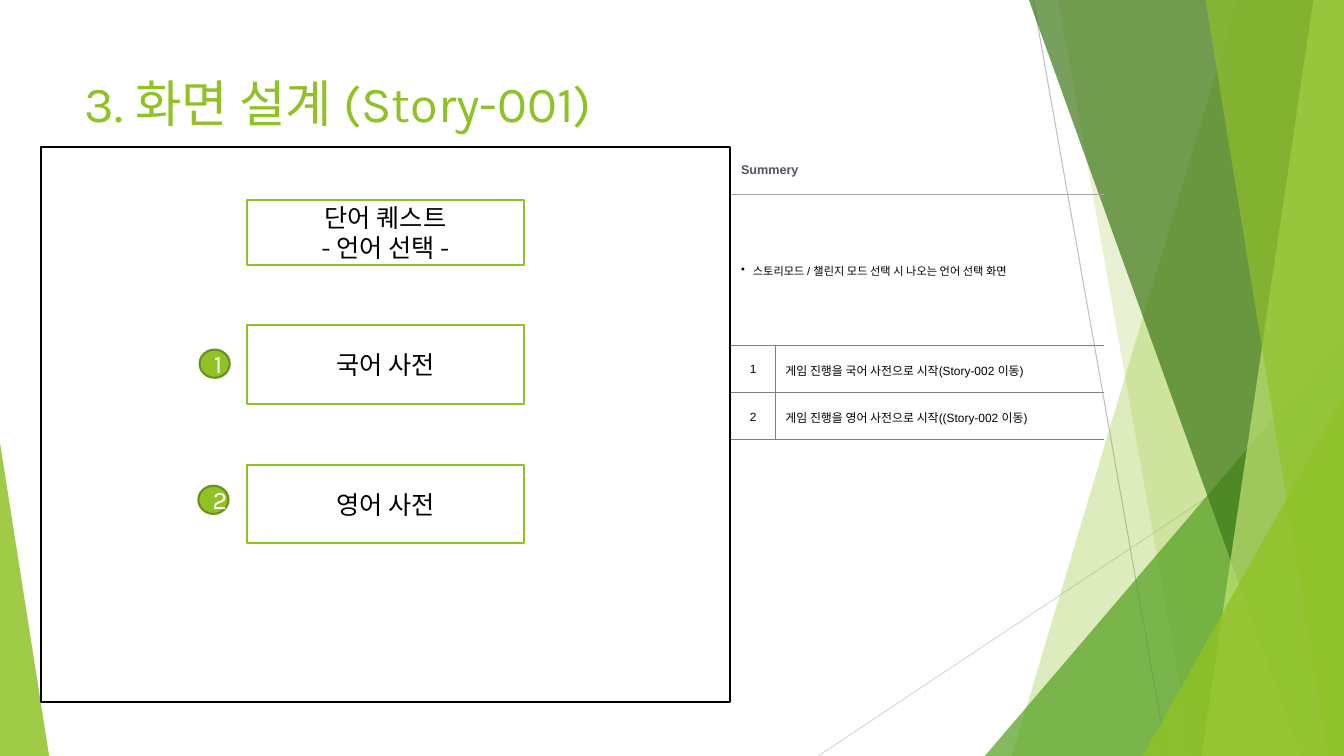
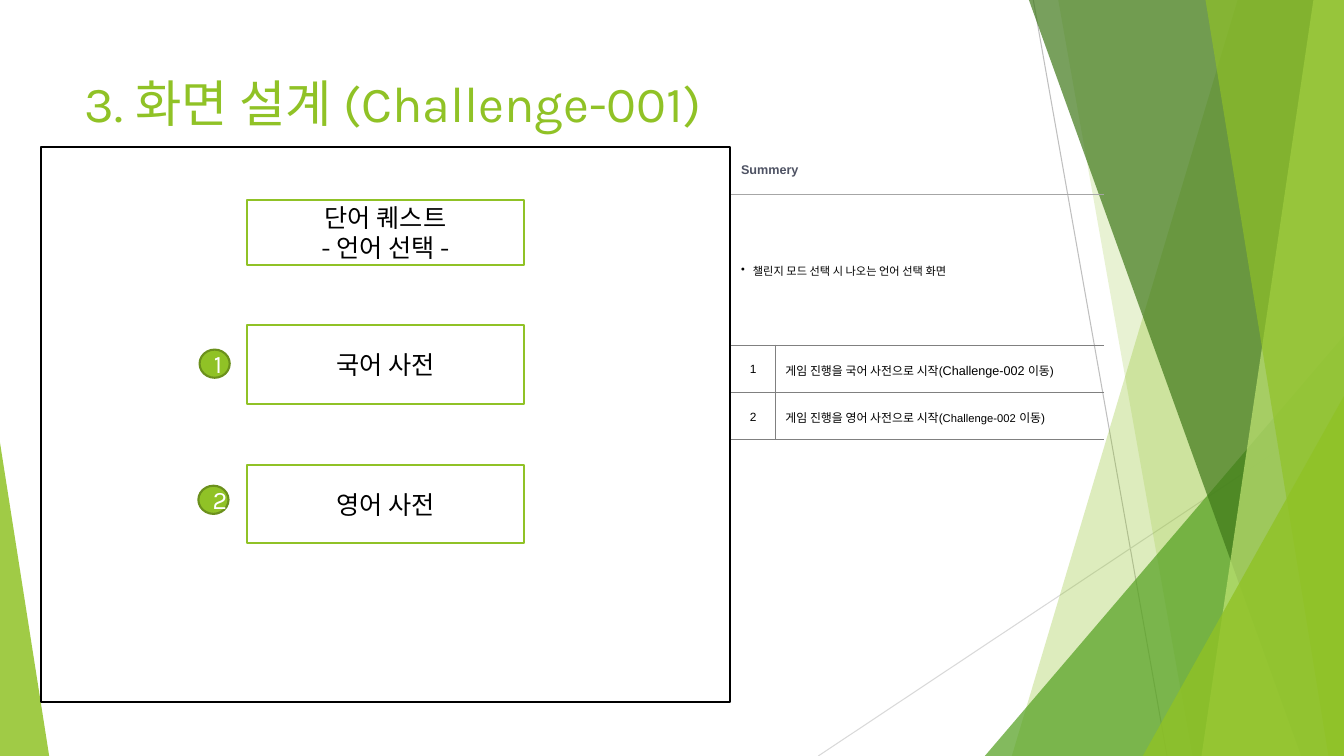
from dataclasses import dataclass

from lxml.etree import SubElement
from pptx import Presentation
from pptx.dml.color import RGBColor
from pptx.enum.shapes import MSO_CONNECTOR, MSO_SHAPE
from pptx.enum.text import MSO_ANCHOR, MSO_AUTO_SIZE, PP_ALIGN
from pptx.oxml.ns import qn
from pptx.slide import Slide, SlideLayout
from pptx.table import _Cell as Cell
from pptx.text.text import _Paragraph as Paragraph
from pptx.util import Cm, Pt


@dataclass(frozen=True)
class Theme:
    green: str = "90C226"
    leaf: str = "54A021"
    forest: str = "3F7819"
    lime: str = "C0E474"
    badge_edge: str = "6B901C"
    black: str = "000000"
    white: str = "FFFFFF"
    heading: str = "4E5263"
    rule: str = "808080"
    light_rule: str = "A6A6A6"
    display_font: str = "Karla"
    table_font: str = "Arial"
    title_size: float = 36
    box_size: float = 18
    heading_size: float = 9
    note_size: float = 8
    cell_size: float = 8.5


THEME = Theme()
WIDTH, HEIGHT = 33.87, 19.05
NO_STYLE_TABLE = "{2D5ABB26-0587-4C30-8999-92F81FD0307C}"


@dataclass(frozen=True)
class Shard:
    """Band from a slanted left edge to the right edge of the slide."""
    top_x: float
    bottom_x: float
    color: str
    opacity: int


@dataclass(frozen=True)
class Corner:
    """Triangle standing on the bottom edge of the slide."""
    left: float
    width: float
    height: float
    apex: float
    color: str
    opacity: int


@dataclass(frozen=True)
class Ray:
    start: tuple[float, float]
    end: tuple[float, float]
    color: str


@dataclass(frozen=True)
class Block:
    """Outlined shape with centred text."""
    left: float
    top: float
    width: float
    height: float
    lines: tuple[str, ...] = ()
    kind: MSO_SHAPE = MSO_SHAPE.RECTANGLE
    fill: str = THEME.white
    outline: str = THEME.green
    color: str = THEME.black


@dataclass(frozen=True)
class TextRun:
    text: str
    size: float = THEME.cell_size


@dataclass(frozen=True)
class Screen:
    title: str
    summary: str
    steps: tuple[tuple[TextRun, ...], ...]


BACKDROP = (
    Ray((26.04, 0), (29.41, HEIGHT), "BFBFBF"),
    Ray((WIDTH, 10.24), (20.62, HEIGHT), "D9D9D9"),
    Shard(31.19, 25.5, THEME.green, 30),
    Shard(26.67, 30.05, THEME.green, 20),
    Corner(24.82, 9.05, 10.59, 1, THEME.leaf, 72),
    Shard(25.93, 32.79, THEME.forest, 70),
    Shard(33.1, 30.28, THEME.lime, 70),
    Shard(30.38, 33.48, THEME.green, 65),
    Corner(28.8, 5.07, 9.07, 1, THEME.green, 80),
    Corner(0, 1.24, 7.9, 0, THEME.green, 85),
)


def menu_box(top: float, height: float, *lines: str) -> Block:
    return Block(6.22, top, 6.99, height, lines)


def badge(left: float, top: float, number: str) -> Block:
    return Block(left, top, 0.76, 0.71, (number,), MSO_SHAPE.OVAL,
                 THEME.green, THEME.badge_edge, THEME.white)


FRAME = Block(1.04, 3.71, 17.35, 13.97, outline=THEME.black)
MENU = (
    menu_box(5.05, 1.63, "단어 퀘스트", "- 언어 선택 -"),
    menu_box(8.2, 1.98, "국어 사전"),
    menu_box(11.71, 1.98, "영어 사전"),
    badge(5.03, 8.81, "1"),
    badge(5, 12.24, "2"),
)
COLUMNS = (1.12, 8.28)
ROWS = (1.17, 3.81, 1.19, 1.19)

SCREENS = (
    Screen("3. 화면 설계 (Story-001)",
           "스토리모드 / 챌린지 모드 선택 시 나오는 언어 선택 화면",
           ((TextRun("게임 진행을 국어 사전으로 시작(Story-002 이동)"),),
            (TextRun("게임 진행을 영어 사전으로 시작((Story-002 이동)"),))),
    Screen("3. 화면 설계 (Challenge-001)",
           "챌린지 모드 선택 시 나오는 언어 선택 화면",
           ((TextRun("게임 진행을 국어 사전으로 시작("),
             TextRun("Challenge-002", 9), TextRun(" 이동)")),
            (TextRun("게임 진행을 영어 사전으로 시작("),
             TextRun("Challenge-002", 8), TextRun(" 이동)")))),
)


def rgb(color: str) -> RGBColor:
    return RGBColor.from_string(color)


def set_font(paragraph: Paragraph, name: str, size: float, color: str,
             bold: bool = False) -> None:
    font = paragraph.font
    font.name, font.size, font.bold = name, Pt(size), bold
    font.color.rgb = rgb(color)


# Shared backdrop
def draw_ray(slide: Slide, ray: Ray):
    x1, y1, x2, y2 = (Cm(value) for value in ray.start + ray.end)
    connector = slide.shapes.add_connector(MSO_CONNECTOR.STRAIGHT, x1, y1, x2, y2)
    connector.line.color.rgb = rgb(ray.color)
    connector.line.width = Pt(0.75)
    SubElement(connector.element.spPr, qn("a:effectLst"))
    return connector


def draw_pane(slide: Slide, pane: Shard | Corner):
    if isinstance(pane, Shard):
        builder = slide.shapes.build_freeform(Cm(pane.top_x), 0)
        corners = ((WIDTH, 0), (WIDTH, HEIGHT), (pane.bottom_x, HEIGHT))
        builder.add_line_segments([(Cm(x), Cm(y)) for x, y in corners])
        shape = builder.convert_to_shape()
    else:
        shape = slide.shapes.add_shape(
            MSO_SHAPE.ISOSCELES_TRIANGLE, Cm(pane.left), Cm(HEIGHT - pane.height),
            Cm(pane.width), Cm(pane.height))
        shape.adjustments[0] = pane.apex
    shape.shadow.inherit = False
    shape.line.fill.background()
    shape.fill.solid()
    shape.fill.fore_color.rgb = rgb(pane.color)
    color = shape.element.spPr.find(qn("a:solidFill")).find(qn("a:srgbClr"))
    SubElement(color, qn("a:alpha"), val=str(pane.opacity * 1000))
    return shape


def prepare_layout(layout: SlideLayout) -> None:
    title, *others = layout.placeholders
    title.left, title.top, title.width, title.height = (
        Cm(value) for value in (1.88, 1.7, 23.88, 3.66))
    for placeholder in others:
        placeholder.element.getparent().remove(placeholder.element)


def add_backdrop(slide: Slide) -> None:
    """Draw the backdrop, then move it to the layout for every slide to share."""
    parts = [draw_ray(slide, part) if isinstance(part, Ray) else draw_pane(slide, part)
             for part in BACKDROP]
    for part in parts:
        slide.slide_layout.shapes.element.append(part.element)


# Screen sketch
def draw_block(slide: Slide, block: Block) -> None:
    shape = slide.shapes.add_shape(block.kind, Cm(block.left), Cm(block.top),
                                   Cm(block.width), Cm(block.height))
    shape.shadow.inherit = False
    shape.fill.solid()
    shape.fill.fore_color.rgb = rgb(block.fill)
    shape.line.color.rgb = rgb(block.outline)
    shape.line.width = Pt(1.5)
    if not block.lines:
        return
    shape.text_frame.text = "\n".join(block.lines)
    for paragraph in shape.text_frame.paragraphs:
        paragraph.alignment = PP_ALIGN.CENTER
        set_font(paragraph, THEME.display_font, THEME.box_size, block.color)


# Description table
def set_borders(cell: Cell, **colors: str) -> None:
    properties = cell._tc.get_or_add_tcPr()
    for side in ("L", "R", "T", "B"):
        line = SubElement(properties, qn(f"a:ln{side}"), w=str(Pt(0.25)))
        if side in colors:
            fill = SubElement(line, qn("a:solidFill"))
            SubElement(fill, qn("a:srgbClr"), val=colors[side])
        else:
            SubElement(line, qn("a:noFill"))


def fill_cell(cell: Cell, runs: tuple[TextRun, ...], align: PP_ALIGN,
              color: str = THEME.black, bold: bool = False,
              spacing: float = 1.2) -> Paragraph:
    cell.vertical_anchor = MSO_ANCHOR.MIDDLE
    paragraph = cell.text_frame.paragraphs[0]
    paragraph.alignment, paragraph.line_spacing = align, spacing
    set_font(paragraph, THEME.table_font, runs[0].size, color, bold)
    for item in runs:
        run = paragraph.add_run()
        run.text = item.text
        if item.size != runs[0].size:
            run.font.size = Pt(item.size)
    return paragraph


def add_bullet(paragraph: Paragraph) -> None:
    properties = paragraph._p.get_or_add_pPr()
    properties.set("marL", str(Cm(0.3)))
    properties.set("indent", str(-Cm(0.3)))
    bullet = properties.makeelement(qn("a:buChar"), {"char": "•"})
    properties.find(qn("a:defRPr")).addprevious(bullet)


def add_description(slide: Slide, screen: Screen) -> None:
    frame = slide.shapes.add_table(len(ROWS), len(COLUMNS), Cm(18.42), Cm(3.71),
                                   Cm(sum(COLUMNS)), Cm(sum(ROWS)))
    table = frame.table
    table.first_row = table.horz_banding = False
    next(frame.element.iter(qn("a:tableStyleId"))).text = NO_STYLE_TABLE
    for column, width in zip(table.columns, COLUMNS):
        column.width = Cm(width)
    for row, height in zip(table.rows, ROWS):
        row.height = Cm(height)

    for index in range(2):
        table.cell(index, 0).merge(table.cell(index, 1))
    fill_cell(table.cell(0, 0), (TextRun("Summery", THEME.heading_size),),
              PP_ALIGN.LEFT, THEME.heading, bold=True, spacing=1.0)
    add_bullet(fill_cell(table.cell(1, 0), (TextRun(screen.summary, THEME.note_size),),
                         PP_ALIGN.JUSTIFY))
    for number, runs in enumerate(screen.steps, start=1):
        fill_cell(table.cell(number + 1, 0), (TextRun(str(number)),), PP_ALIGN.CENTER)
        fill_cell(table.cell(number + 1, 1), runs, PP_ALIGN.JUSTIFY)

    rules = ({"B": THEME.light_rule}, {"T": THEME.light_rule, "B": THEME.rule},
             *[{"T": THEME.rule, "B": THEME.rule}] * len(screen.steps))
    for row_index, sides in enumerate(rules):
        divider = {"R": THEME.rule} if row_index > 1 else {}
        set_borders(table.cell(row_index, 0), **sides, **divider)
        divider = {"L": THEME.rule} if row_index > 1 else {}
        set_borders(table.cell(row_index, 1), **sides, **divider)
    for cell in table.iter_cells():
        cell.fill.background()


def add_title(slide: Slide, text: str) -> None:
    text_frame = slide.shapes.title.text_frame
    text_frame.text = text
    text_frame.vertical_anchor = MSO_ANCHOR.TOP
    text_frame.auto_size = MSO_AUTO_SIZE.NONE
    paragraph = text_frame.paragraphs[0]
    paragraph.alignment = PP_ALIGN.LEFT
    set_font(paragraph, THEME.display_font, THEME.title_size, THEME.green)


def main() -> None:
    presentation = Presentation()
    presentation.slide_width, presentation.slide_height = Cm(WIDTH), Cm(HEIGHT)
    layout = presentation.slide_layouts.get_by_name("Title Only")
    prepare_layout(layout)
    for index, screen in enumerate(SCREENS):
        slide = presentation.slides.add_slide(layout)
        if index == 0:
            add_backdrop(slide)
        add_title(slide, screen.title)
        draw_block(slide, FRAME)
        add_description(slide, screen)
        for block in MENU:
            draw_block(slide, block)
    presentation.save("out.pptx")


if __name__ == "__main__":
    main()
